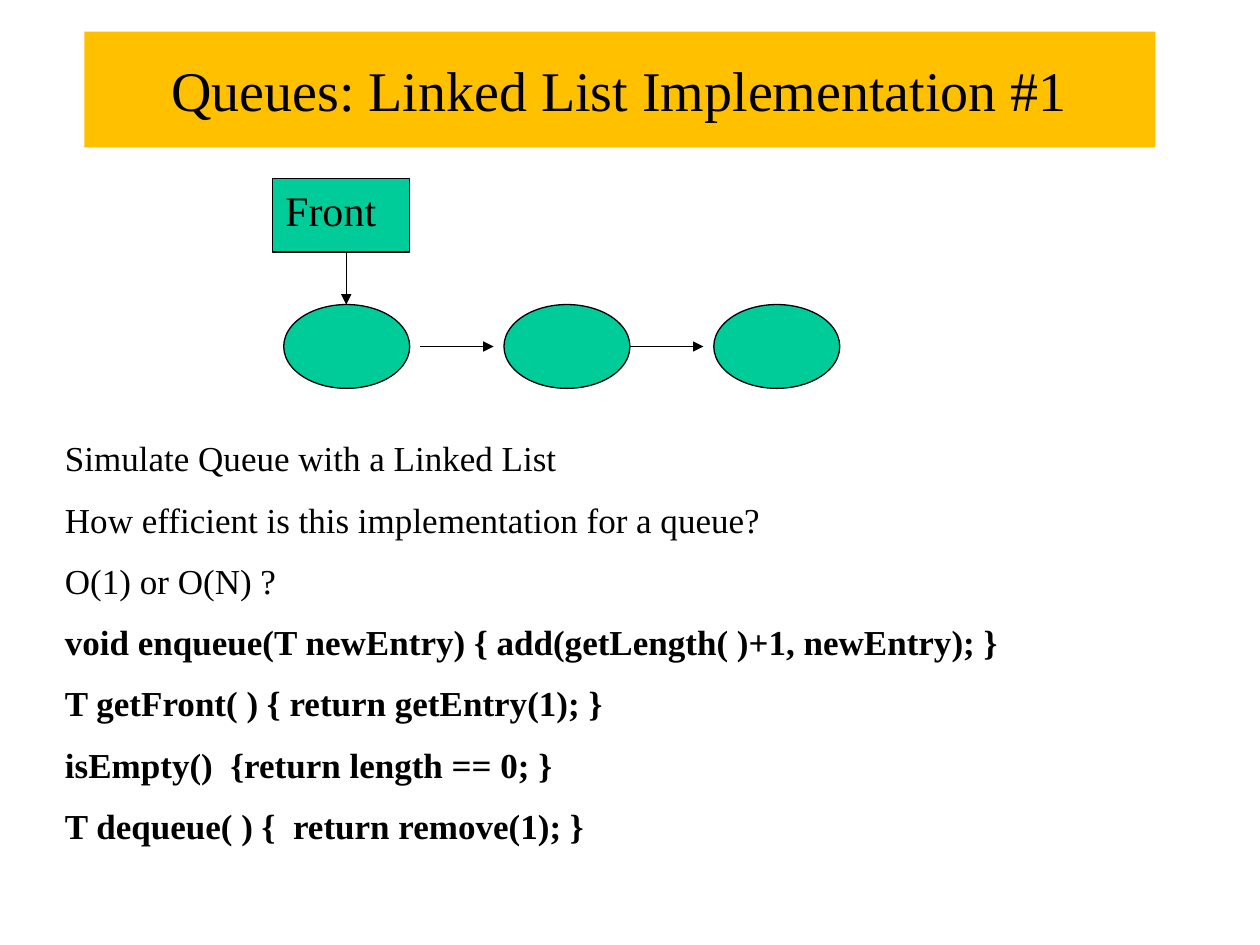
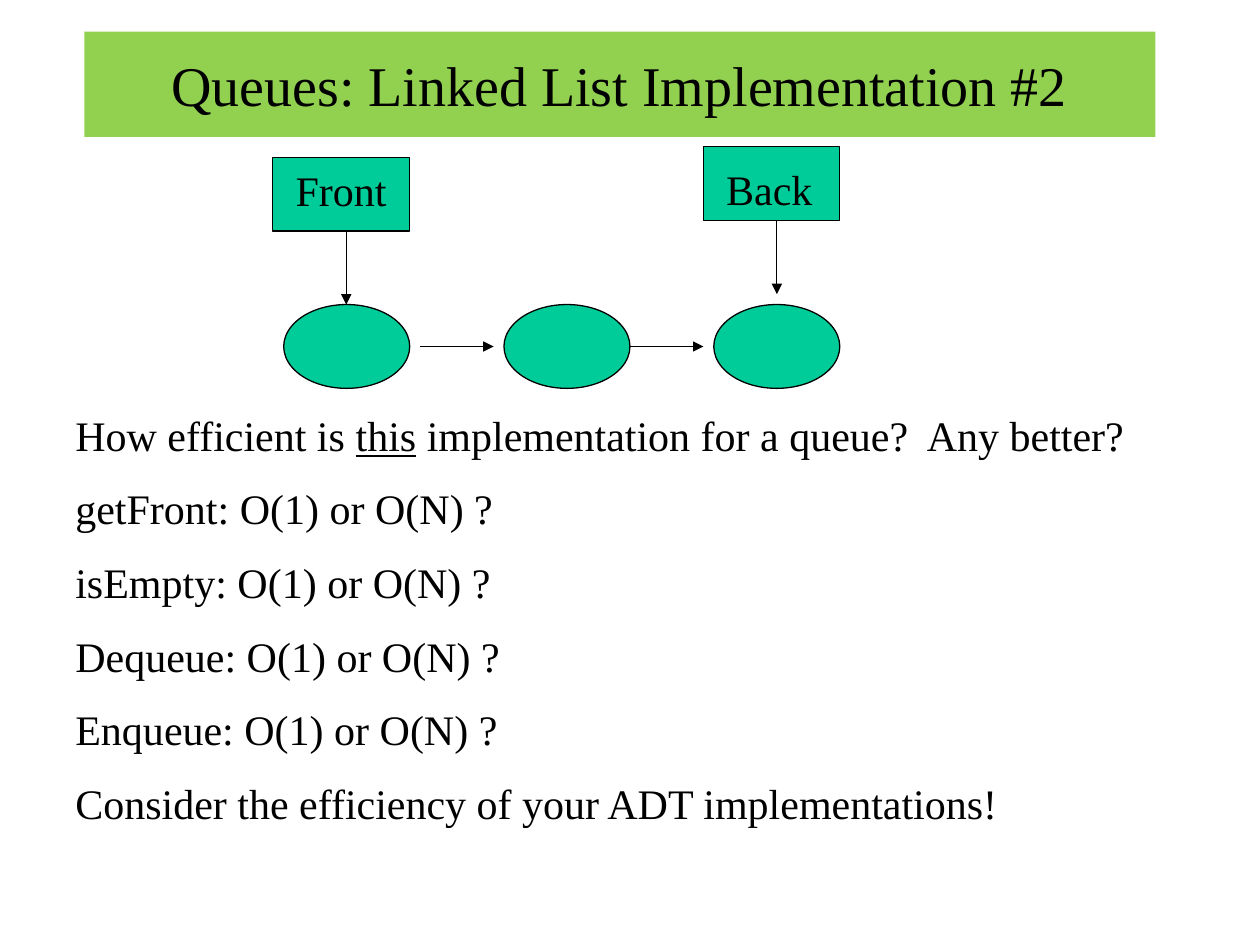
from lxml import etree
from pptx import Presentation, util as u
from pptx.dml.color import RGBColor
from pptx.enum import shapes, text
from pptx.oxml.ns import qn

HUES = {"ink": "000000", "node": "00CC99", "gold": "FFC000", "lime": "92D050"}
FONT = "Times New Roman"
NODES = (0.22, 4.66, 8.89)
NODE_W, NODE_H = 2.54, 1.69
TAG_W, TAG_H = 2.75, 1.48


def hue(name):
    return RGBColor.from_string(HUES[name])


def place(*box):
    return [u.Cm(n) for n in box]


def style(run, size, bold=False):
    run.font.name = FONT
    run.font.size = u.Pt(size)
    run.font.bold = bold
    run.font.color.rgb = hue("ink")


def title(slide, box, words, fill):
    head = slide.shapes.title
    head.left, head.top, head.width, head.height = place(*box)
    head.fill.solid()
    head.fill.fore_color.rgb = hue(fill)
    frame = head.text_frame
    frame.text = words
    frame.vertical_anchor = text.MSO_ANCHOR.MIDDLE
    para = frame.paragraphs[0]
    para.alignment = text.PP_ALIGN.CENTER
    style(para.runs[0], 32)


def block(slide, kind, box):
    shape = slide.shapes.add_shape(kind, *place(*box))
    shape.shadow.inherit = False
    shape.fill.solid()
    shape.fill.fore_color.rgb = hue("node")
    shape.line.color.rgb = hue("ink")
    shape.line.width = u.Pt(0.75)
    return shape


def arrow(slide, *ends):
    link = slide.shapes.add_connector(shapes.MSO_CONNECTOR.STRAIGHT, *place(*ends))
    link.line.color.rgb = hue("ink")
    link.line.width = u.Pt(0.75)
    etree.SubElement(link.line._get_or_add_ln(), qn("a:tailEnd"), type="triangle")
    etree.SubElement(link._element.spPr, qn("a:effectLst"))


def chain(slide, left, top):
    for x in NODES:
        block(slide, shapes.MSO_SHAPE.OVAL, (left + x, top, NODE_W, NODE_H))
    mid = top + NODE_H / 2
    for x, gap in zip(NODES, (0.21, 0)):
        start = left + x + NODE_W + gap
        arrow(slide, start, mid, start + 1.48, mid)


def tag(slide, left, top, word, inset, tip):
    shape = block(slide, shapes.MSO_SHAPE.RECTANGLE, (left, top, TAG_W, TAG_H))
    frame = shape.text_frame
    frame.text = word
    frame.word_wrap = False
    frame.vertical_anchor = text.MSO_ANCHOR.TOP
    frame.margin_left, frame.margin_top = place(*inset)
    para = frame.paragraphs[0]
    para.alignment = text.PP_ALIGN.LEFT
    para.space_before = u.Pt(2.4)
    style(para.runs[0], 24)
    x = left + 1.48
    arrow(slide, x, top + TAG_H, x, tip)


def body(slide, box, lines, size, code=()):
    frame = slide.shapes.add_textbox(*place(*box)).text_frame
    frame.word_wrap = True
    frame.text = "\n".join(lines + list(code))
    for i, para in enumerate(frame.paragraphs):
        para.space_before = u.Pt(size * (0.55 if i else 0.1))
        bits = para.text.split("_")
        para.text = bits[0]
        for bit in bits[1:]:
            para.add_run().text = bit
        for j, run in enumerate(para.runs):
            style(run, size, i >= len(lines))
            if j % 2:
                run.font.underline = True


def first(slide):
    title(slide, (1.7, 0.64, 21.59, 2.33), "Queues: Linked List Implementation #1", "gold")
    chain(slide, 5.5, 6.14)
    tag(slide, 5.5, 3.6, "Front", (0.25, 0.13), 6.14)
    body(slide, (1.06, 8.68, 22.43, 10.2), [
        "Simulate Queue with a Linked List",
        "How efficient is this implementation for a queue?",
        "O(1) or O(N) ?",
    ], 20, [
        "void enqueue(T newEntry) { add(getLength( )+1, newEntry); }",
        "T getFront( ) { return getEntry(1); }",
        "isEmpty()  {return length == 0; }",
        "T dequeue( ) {  return remove(1); }",
    ])


def second(slide):
    title(slide, (1.7, 0.64, 21.59, 2.12), "Queues: Linked List Implementation #2", "lime")
    chain(slide, 5.5, 6.14)
    tag(slide, 5.5, 3.18, "Front", (0.46, 0.13), 6.14)
    tag(slide, 14.18, 2.96, "Back", (0.46, 0.34), 5.93)
    tasks = ["getFront", "isEmpty", "Dequeue", "Enqueue"]
    body(slide, (1.27, 8.13, 22.02, 8.97), [
        "How efficient is _this_ implementation for a queue?  Any better?",
        *[f"{task}: O(1) or O(N) ?" for task in tasks],
        "Consider the efficiency of your ADT implementations!",
    ], 24)


deck = Presentation()
deck.slide_width, deck.slide_height = place(25.4, 19.05)
for build in (first, second):
    build(deck.slides.add_slide(deck.slide_layouts[5]))
deck.save("out.pptx")
